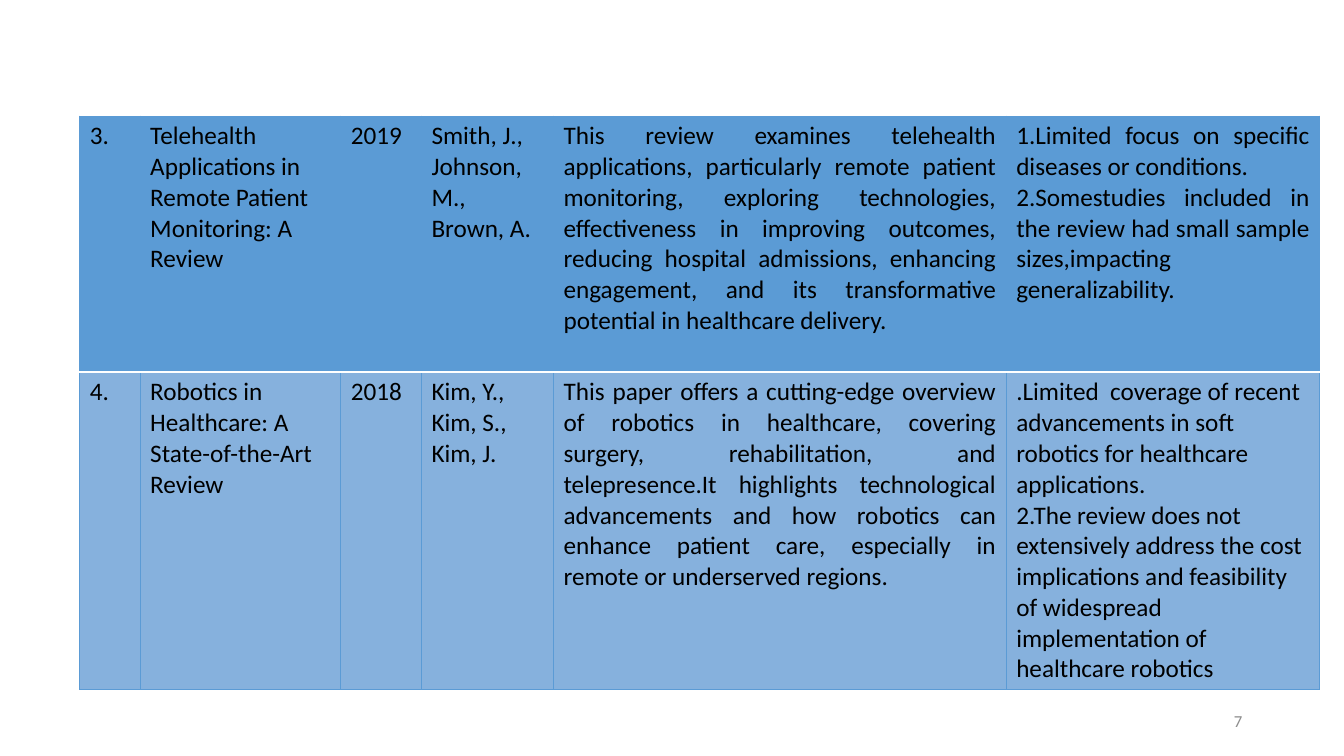
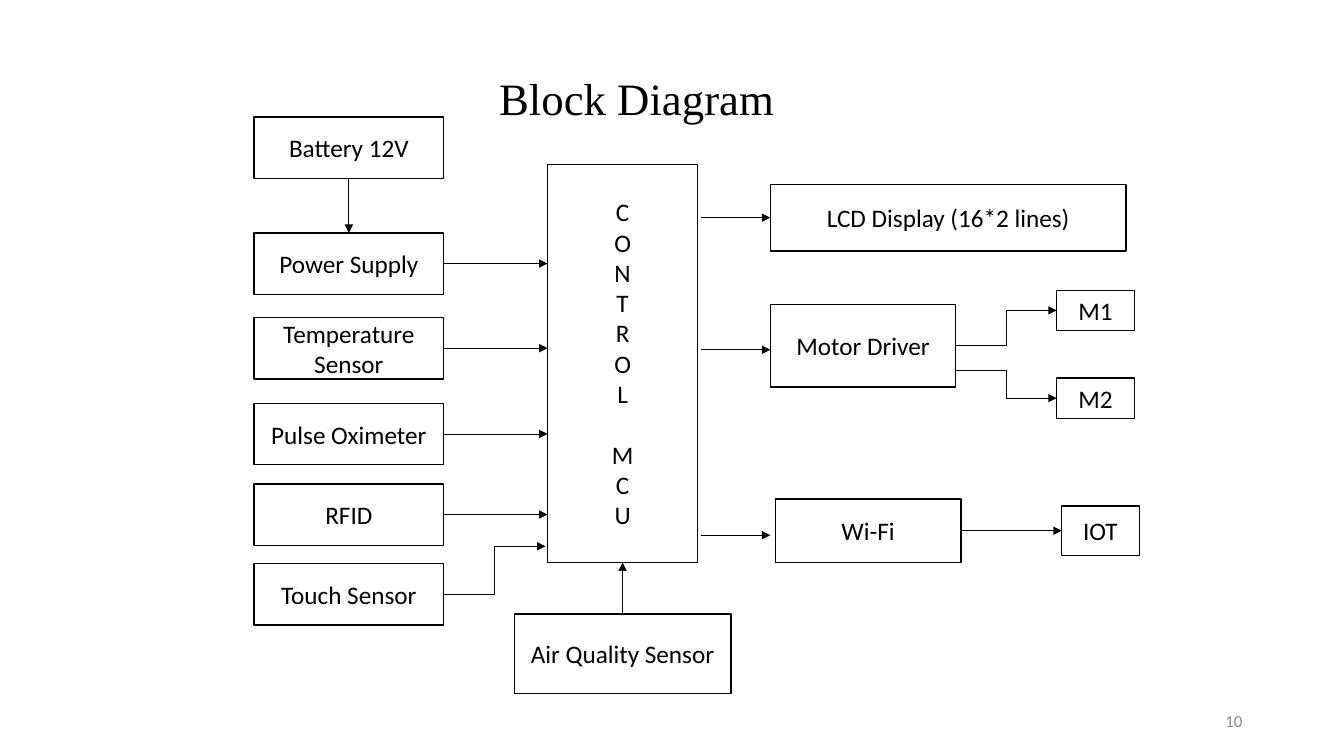
from dataclasses import dataclass

import pptx
import pptx.dml.color
import pptx.enum.shapes
import pptx.enum.text
import pptx.oxml.ns
import pptx.util
from lxml import etree
from pptx.util import Inches

ALIGN = pptx.enum.text.PP_ALIGN
MIDDLE = pptx.enum.text.MSO_ANCHOR.MIDDLE
CONNECTOR = pptx.enum.shapes.MSO_CONNECTOR
RECTANGLE = pptx.enum.shapes.MSO_SHAPE.RECTANGLE
TOP, LEFT, BOTTOM, RIGHT = range(4)


@dataclass(frozen=True)
class Theme:
    text: str = "000000"
    paper: str = "FFFFFF"
    accent: str = "5B9BD5"
    accent_light: str = "86B1DD"
    muted: str = "8C8C8C"
    body_font: str = "Calibri"
    title_font: str = "Times New Roman"
    title_size: int = 32
    body_size: int = 18
    number_size: int = 12
    box_line: float = 1
    thin_line: float = 0.5


THEME = Theme()

COLUMN_WIDTHS = (0.6, 1.99, 0.8, 1.31, 4.49, 3.11)
ROW_HEIGHTS = (2.54, 3.15)
ROW_FILLS = (THEME.accent, THEME.accent_light)
JUSTIFIED_CELLS = {(0, 4), (0, 5), (1, 4)}
REVIEWS = [
    (
        "3.",
        "Telehealth\nApplications in Remote Patient Monitoring: A Review",
        "2019",
        "Smith, J., Johnson, M., Brown, A.",
        "This review examines telehealth applications, particularly remote patient "
        "monitoring, exploring technologies, effectiveness in improving outcomes, "
        "reducing hospital admissions, enhancing engagement, and its transformative "
        "potential in healthcare delivery.",
        "1.Limited focus on specific diseases or conditions.\n"
        "2.Somestudies included in the review had small sample sizes,impacting "
        "generalizability.",
    ),
    (
        "4.",
        "Robotics in Healthcare: A State-of-the-Art Review",
        "2018",
        "Kim, Y., Kim, S., Kim, J.",
        "This paper offers a cutting-edge overview of robotics in healthcare, covering "
        "surgery, rehabilitation, and telepresence.It highlights technological "
        "advancements and how robotics can enhance patient care, especially in remote "
        "or underserved regions.",
        ".Limited  coverage of recent advancements in soft robotics for healthcare "
        "applications.\n"
        "2.The review does not extensively address the cost implications and "
        "feasibility of widespread implementation of healthcare robotics",
    ),
]

CONTROLLER = "CONTROL MCU"
CONTROLLER_AREA = (5.43, 1.63, 1.49, 3.95)
INPUT_LEFT, INPUT_WIDTH, INPUT_HEIGHT = 2.52, 1.88, 0.61
INPUT_TOPS = {
    "Battery 12V": 1.16,
    "Power Supply": 2.31,
    "Temperature Sensor": 3.15,
    "Pulse Oximeter": 4,
    "RFID": 4.8,
    "Touch Sensor": 5.59,
}
LEVEL_INPUTS = ("Power Supply", "Temperature Sensor", "Pulse Oximeter", "RFID")
OTHER_BLOCKS = {
    "Air Quality Sensor": (5.1, 6.09, 2.15, 0.79),
    "LCD Display (16*2 lines)": (7.64, 1.83, 3.53, 0.66),
    "Motor Driver": (7.64, 3.02, 1.84, 0.82),
    "Wi-Fi": (7.69, 4.95, 1.84, 0.63),
    "M1": (10.48, 2.88, 0.77, 0.4),
    "M2": (10.48, 3.75, 0.77, 0.4),
    "IOT": (10.53, 5.02, 0.77, 0.49),
}
STRAIGHT_ARROWS = [
    (("Battery 12V", BOTTOM), ("Power Supply", TOP)),
    (("Air Quality Sensor", TOP), (CONTROLLER, BOTTOM)),
    ((6.95, 2.16), ("LCD Display (16*2 lines)", LEFT)),
    ((6.95, 3.47), (7.64, 3.47)),
    ((6.95, 5.31), (7.64, 5.31)),
    (("Wi-Fi", RIGHT), ("IOT", LEFT)),
]
ELBOW_ARROWS = [
    (("Touch Sensor", RIGHT), (5.41, 5.42)),
    ((9.48, 3.43), ("M1", LEFT)),
    ((9.48, 3.67), ("M2", LEFT)),
]


def rgb(color):
    return pptx.dml.color.RGBColor.from_string(color)


def format_text(text_frame, size=THEME.body_size, color=THEME.text,
                font=THEME.body_font, align=ALIGN.LEFT):
    text_frame.word_wrap = True
    for paragraph in text_frame.paragraphs:
        paragraph.alignment = align
        for run in paragraph.runs:
            run.font.size = pptx.util.Pt(size)
            run.font.name = font
            run.font.color.rgb = rgb(color)


def add_page_number(slide, number):
    shape = slide.shapes.add_textbox(*map(Inches, (9.42, 6.95, 3, 0.4)))
    shape.text_frame.text = str(number)
    shape.text_frame.vertical_anchor = MIDDLE
    format_text(shape.text_frame, THEME.number_size, THEME.muted, align=ALIGN.RIGHT)


def add_element(parent, tag, **attributes):
    element = etree.SubElement(parent, pptx.oxml.ns.qn(tag))
    for name, value in attributes.items():
        element.set(name, str(value))
    return element


def set_borders(cell, borders):
    properties = cell._tc.get_or_add_tcPr()
    for index, side in enumerate(("L", "R", "T", "B")):
        color, width = borders.get(side, (THEME.accent, THEME.thin_line))
        line = etree.Element(pptx.oxml.ns.qn(f"a:ln{side}"), w=str(int(pptx.util.Pt(width))))
        add_element(add_element(line, "a:solidFill"), "a:srgbClr", val=color)
        properties.insert(index, line)


def build_review_slide(presentation):
    slide = presentation.slides.add_slide(presentation.slide_layouts[6])
    frame = slide.shapes.add_table(
        len(REVIEWS), len(COLUMN_WIDTHS), Inches(0.79), Inches(1.15),
        Inches(sum(COLUMN_WIDTHS)), Inches(sum(ROW_HEIGHTS)))
    table = frame.table
    for column, width in zip(table.columns, COLUMN_WIDTHS):
        column.width = Inches(width)
    for row, height in zip(table.rows, ROW_HEIGHTS):
        row.height = Inches(height)
    divider = (THEME.paper, THEME.box_line)
    for row_index, review in enumerate(REVIEWS):
        for column_index, text in enumerate(review):
            cell = table.cell(row_index, column_index)
            cell.text_frame.text = text
            justified = (row_index, column_index) in JUSTIFIED_CELLS
            format_text(cell.text_frame, align=ALIGN.JUSTIFY if justified else ALIGN.LEFT)
            cell.fill.solid()
            cell.fill.fore_color.rgb = rgb(ROW_FILLS[row_index])
            set_borders(cell, {"B" if row_index == 0 else "T": divider})
    add_page_number(slide, 7)


def add_block(slide, text, area):
    shape = slide.shapes.add_shape(RECTANGLE, *map(Inches, area))
    shape.shadow.inherit = False
    shape.fill.solid()
    shape.fill.fore_color.rgb = rgb(THEME.paper)
    shape.line.color.rgb = rgb(THEME.text)
    shape.line.width = pptx.util.Pt(THEME.box_line)
    shape.text_frame.text = text
    shape.text_frame.vertical_anchor = MIDDLE
    format_text(shape.text_frame, align=ALIGN.CENTER)
    return shape


def add_controller(slide):
    words = CONTROLLER.split()
    shape = add_block(slide, "\n".join("".join(words)), CONTROLLER_AREA)
    second_word = shape.text_frame.paragraphs[len(words[0])]
    second_word.space_before = pptx.util.Pt(22)
    return shape


def add_arrow(slide, blocks, kind, start, end):
    connector = slide.shapes.add_connector(kind, 0, 0, 0, 0)
    if start[0] in blocks:
        connector.begin_connect(blocks[start[0]], start[1])
    else:
        connector.begin_x, connector.begin_y = map(Inches, start)
    if end[0] in blocks:
        connector.end_connect(blocks[end[0]], end[1])
    else:
        connector.end_x, connector.end_y = map(Inches, end)
    connector.line.color.rgb = rgb(THEME.text)
    connector.line.width = pptx.util.Pt(THEME.thin_line)
    add_element(connector.line._get_or_add_ln(), "a:tailEnd", type="triangle")
    add_element(connector._element.spPr, "a:effectLst")


def build_diagram_slide(presentation):
    slide = presentation.slides.add_slide(presentation.slide_layouts[5])
    title = slide.shapes.title
    title.left, title.top, title.width, title.height = map(Inches, (4.85, 0.15, 8.48, 1.71))
    title.text_frame.text = "Block Diagram"
    title.text_frame.vertical_anchor = MIDDLE
    title.text_frame.paragraphs[0].line_spacing = 0.9
    format_text(title.text_frame, THEME.title_size, font=THEME.title_font)
    add_page_number(slide, 10)

    areas = {name: (INPUT_LEFT, top, INPUT_WIDTH, INPUT_HEIGHT)
             for name, top in INPUT_TOPS.items()}
    areas.update(OTHER_BLOCKS)
    blocks = {CONTROLLER: add_controller(slide)}
    for name, area in areas.items():
        blocks[name] = add_block(slide, name, area)

    level_arrows = [
        ((name, RIGHT), (CONTROLLER_AREA[0], INPUT_TOPS[name] + INPUT_HEIGHT / 2))
        for name in LEVEL_INPUTS]
    for start, end in STRAIGHT_ARROWS + level_arrows:
        add_arrow(slide, blocks, CONNECTOR.STRAIGHT, start, end)
    for start, end in ELBOW_ARROWS:
        add_arrow(slide, blocks, CONNECTOR.ELBOW, start, end)


def main():
    presentation = pptx.Presentation()
    presentation.slide_width = Inches(13.33)
    presentation.slide_height = Inches(7.5)
    build_review_slide(presentation)
    build_diagram_slide(presentation)
    presentation.save("out.pptx")


if __name__ == "__main__":
    main()
